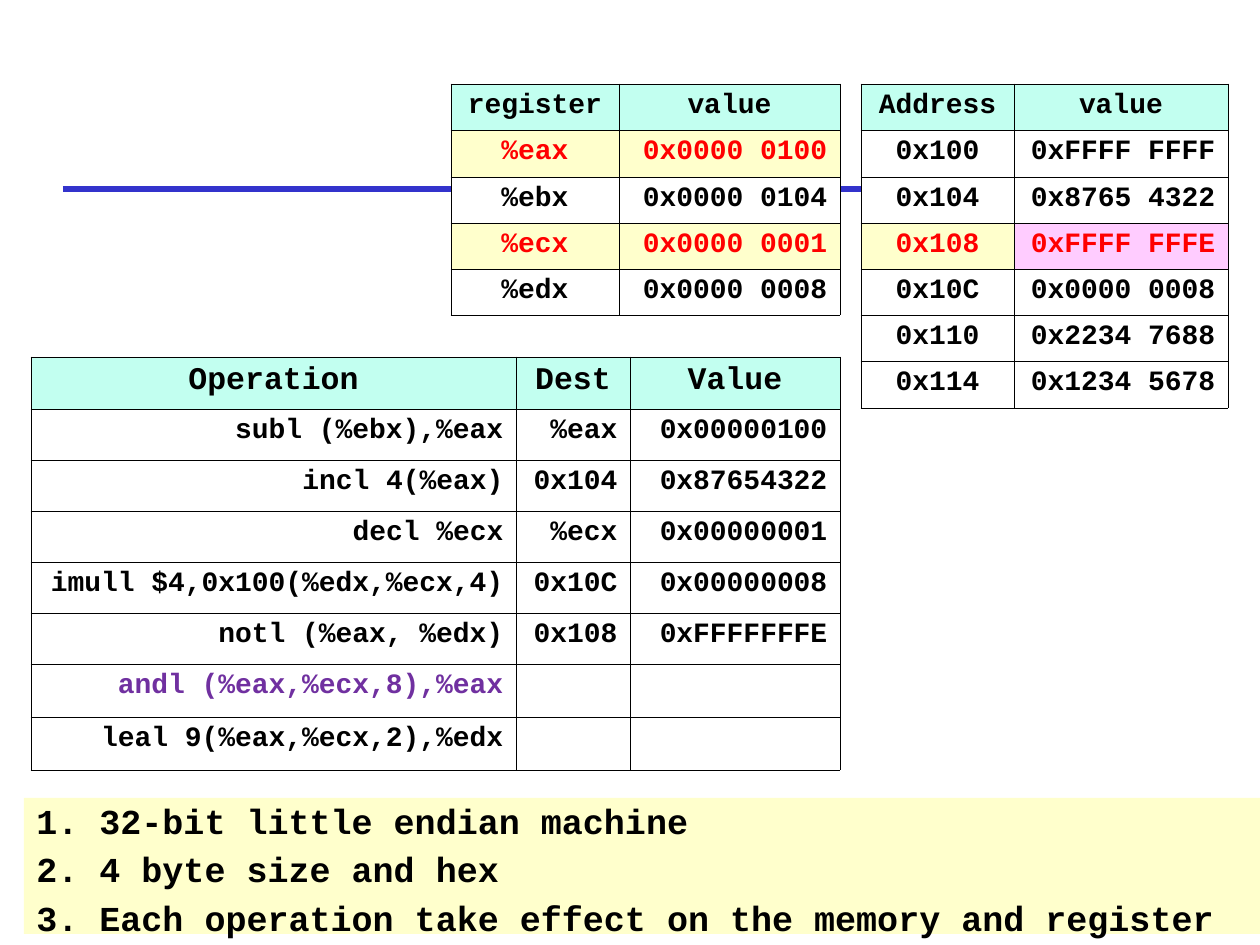
from dataclasses import dataclass

from lxml import etree
from pptx import Presentation
from pptx.dml.color import RGBColor
from pptx.enum.shapes import MSO_CONNECTOR, MSO_SHAPE
from pptx.enum.text import MSO_ANCHOR, PP_ALIGN
from pptx.oxml.ns import qn
from pptx.util import Emu, Pt

PX = 914400 // 126
LINE = MSO_CONNECTOR.STRAIGHT
RECT = MSO_SHAPE.RECTANGLE
TOP = MSO_ANCHOR.TOP
LEFT, MID, RIGHT = PP_ALIGN.LEFT, PP_ALIGN.CENTER, PP_ALIGN.RIGHT


@dataclass(frozen=True)
class Theme:
    font: str = "Courier New"
    ink: str = "000000"
    rule: str = "3333CC"
    head: str = "C2FFF0"
    plain: str = "FFFFFF"
    cream: str = "FFFFCC"
    pink: str = "FFCCFF"
    red: str = "FF0000"
    purple: str = "7030A0"
    body: int = 16
    large: int = 18
    note: int = 20
    grid: float = 0.45


def px(*vals):
    return [Emu(v * PX) for v in vals]


class Board:
    def __init__(self, slide, theme):
        self.slide, self.theme = slide, theme

    def paint(self, thing, tone):
        thing.fill.solid()
        thing.fill.fore_color.rgb = RGBColor.from_string(tone)

    def label(self, para, text, size, tone, align):
        para.alignment = align
        run = para.add_run()
        run.text = text
        form = {"name": self.theme.font, "size": Pt(size), "bold": True}
        for key, val in form.items():
            setattr(run.font, key, val)
        run.font.color.rgb = RGBColor.from_string(tone)

    def rule(self, x1, y1, x2, y2):
        line = self.slide.shapes.add_connector(LINE, *px(x1, y1, x2, y2))
        line.line.width = Pt(3)
        line.line.color.rgb = RGBColor.from_string(self.theme.rule)
        etree.SubElement(line._element.spPr, qn("a:effectLst"))

    def border(self, cell):
        props = cell._tc.get_or_add_tcPr()
        for side in ("lnL", "lnR", "lnT", "lnB"):
            edge = etree.SubElement(props, qn(f"a:{side}"), w=str(Pt(self.theme.grid)))
            fill = etree.SubElement(edge, qn("a:solidFill"))
            etree.SubElement(fill, qn("a:srgbClr"), val=self.theme.ink)

    def table(self, x, y, cols, highs, rows, aligns, marks, top=None):
        """marks maps (row, column) to a fill and a text colour."""
        t = self.theme
        area = px(x, y, sum(cols), sum(highs))
        table = self.slide.shapes.add_table(len(rows), len(cols), *area).table
        table.first_row = table.horz_banding = False
        for col, wide in zip(table.columns, px(*cols)):
            col.width = wide
        for row, high in zip(table.rows, px(*highs)):
            row.height = high
        for r, row in enumerate(rows):
            for c, text in enumerate(row):
                cell = table.cell(r, c)
                fill, tone = marks.get((r, c), (t.plain if r else t.head, t.ink))
                self.border(cell)
                self.paint(cell, fill)
                if text:
                    size = t.body if r else top or t.body
                    align = aligns[c] if r else MID
                    self.label(cell.text_frame.paragraphs[0], text, size, tone, align)

    def panel(self, x, y, wide, high, lines):
        box = self.slide.shapes.add_shape(RECT, *px(x, y, wide, high))
        box.shadow.inherit = False
        box.line.fill.background()
        self.paint(box, self.theme.cream)
        frame = box.text_frame
        frame.word_wrap, frame.vertical_anchor = True, TOP
        for i, text in enumerate(lines):
            para = frame.add_paragraph() if i else frame.paragraphs[0]
            para.line_spacing = 0.9
            para.space_before = Pt(6 if i else 0)
            self.label(para, text, self.theme.note, self.theme.ink, LEFT)


def main():
    deck = Presentation()
    deck.slide_width, deck.slide_height = px(1260, 945)
    t = Theme()
    board = Board(deck.slides.add_slide(deck.slide_layouts[6]), t)
    hot = (t.cream, t.red)

    # Rule behind the tables
    board.rule(63, 189, 1176, 189)

    # Operations
    ops = [
        ("Operation", "Dest", "Value"),
        ("subl (%ebx),%eax", "%eax", "0x00000100"),
        ("incl 4(%eax)", "0x104", "0x87654322"),
        ("decl %ecx", "%ecx", "0x00000001"),
        ("imull $4,0x100(%edx,%ecx,4)", "0x10C", "0x00000008"),
        ("notl (%eax, %edx)", "0x108", "0xFFFFFFFE"),
        ("andl (%eax,%ecx,8),%eax", "", ""),
        ("leal 9(%eax,%ecx,2),%edx", "", ""),
    ]
    board.table(31, 357, [485, 114, 210], [52] + [51] * 5 + [53] * 2, ops,
                [RIGHT] * 3, {(6, 0): (t.plain, t.purple)}, t.large)

    # Memory
    cells = [
        ("Address", "value"),
        ("0x100", "0xFFFF FFFF"),
        ("0x104", "0x8765 4322"),
        ("0x108", "0xFFFF FFFE"),
        ("0x10C", "0x0000 0008"),
        ("0x110", "0x2234 7688"),
        ("0x114", "0x1234 5678"),
    ]
    highs = [46, 47, 46, 46, 46, 46, 47]
    board.table(861, 84, [153, 214], highs, cells, [MID, RIGHT],
                {(3, 0): hot, (3, 1): (t.pink, t.red)})

    # Registers
    regs = [
        ("register", "value"),
        ("%eax", "0x0000 0100"),
        ("%ebx", "0x0000 0104"),
        ("%ecx", "0x0000 0001"),
        ("%edx", "0x0000 0008"),
    ]
    board.table(451, 84, [168, 221], highs[:len(regs)], regs, [MID, RIGHT],
                {(r, c): hot for r in (1, 3) for c in (0, 1)})

    # Notes
    board.panel(24, 798, 1236, 136, [
        "1. 32-bit little endian machine",
        "2. 4 byte size and hex",
        "3. Each operation take effect on the memory and register",
    ])

    deck.save("out.pptx")


if __name__ == "__main__":
    main()
